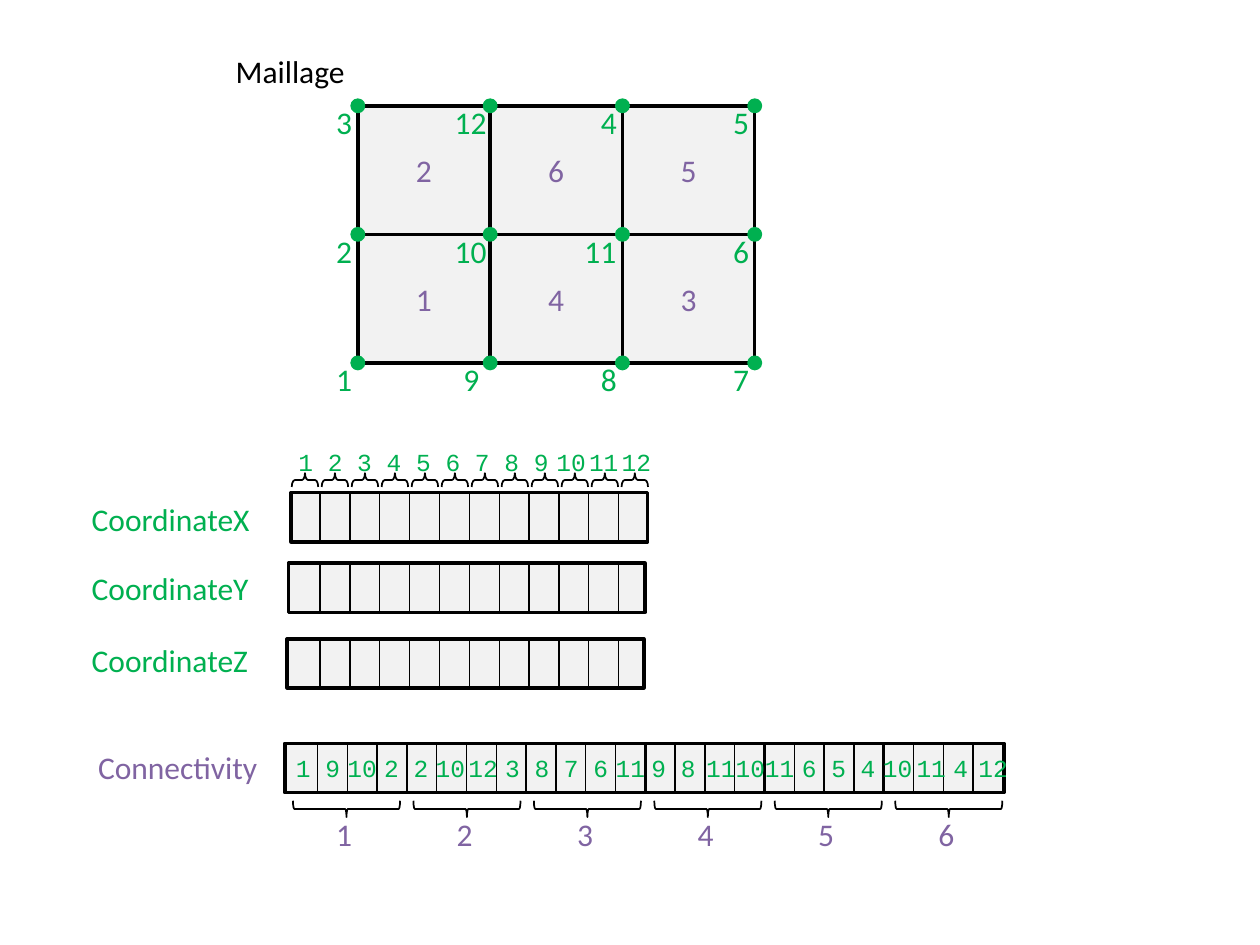
from dataclasses import dataclass

from lxml import etree
from pptx import Presentation
from pptx.dml.color import RGBColor
from pptx.enum.shapes import MSO_CONNECTOR, MSO_SHAPE
from pptx.enum.text import MSO_ANCHOR, MSO_AUTO_SIZE, PP_ALIGN
from pptx.oxml.ns import qn
from pptx.util import Inches, Pt

RECTANGLE, OVAL, BRACE = MSO_SHAPE.RECTANGLE, MSO_SHAPE.OVAL, MSO_SHAPE.LEFT_BRACE
STRAIGHT = MSO_CONNECTOR.STRAIGHT
LEFT, CENTER = PP_ALIGN.LEFT, PP_ALIGN.CENTER
TOP = MSO_ANCHOR.TOP
FIT_SHAPE = MSO_AUTO_SIZE.SHAPE_TO_FIT_TEXT
TITLE_ONLY = 5


@dataclass(frozen=True)
class Theme:
    ink: str = "000000"
    cell: str = "F2F2F2"
    node: str = "00B050"
    element: str = "8064A2"
    sans: str = "Calibri"
    mono: str = "Courier New"
    label: int = 18
    index: int = 14
    heavy: float = 2
    medium: float = 1.5
    thin: float = 1
    hairline: float = 0.75


@dataclass(frozen=True)
class Box:
    left: float
    top: float
    width: float
    height: float

    def inches(self):
        return [Inches(value) for value in (self.left, self.top, self.width, self.height)]


THEME = Theme()
LABEL_HEIGHT = 0.4
DIGIT_WIDTH = 0.33
NUMBER_WIDTH = 0.46


def write_text(page, box, text, color=THEME.ink, size=THEME.label, font=THEME.sans,
               align=LEFT, target=None):
    shape = target or page.shapes.add_textbox(*box.inches())
    shape.left, shape.top, shape.width, shape.height = box.inches()
    frame = shape.text_frame
    frame.word_wrap = False
    frame.auto_size = FIT_SHAPE
    frame.vertical_anchor = TOP
    para = frame.paragraphs[0]
    para.alignment = align
    spans = [(text, size)] if isinstance(text, str) else text
    for words, points in spans:
        span = para.add_run()
        span.text = words
        span.font.size = Pt(points)
        span.font.name = font
        span.font.color.rgb = RGBColor.from_string(color)


def spaced(first, *rest):
    spans = [(first, THEME.index)]
    for gap, words in rest:
        spans += [(" ", gap), (words, THEME.index)]
    return spans


def draw_shape(page, kind, box, fill=None, line=THEME.ink, weight=THEME.heavy):
    shape = page.shapes.add_shape(kind, *box.inches())
    shape.shadow.inherit = False
    if fill:
        shape.fill.solid()
        shape.fill.fore_color.rgb = RGBColor.from_string(fill)
    else:
        shape.fill.background()
    shape.line.color.rgb = RGBColor.from_string(line)
    shape.line.width = Pt(weight)
    return shape


def draw_separator(page, x, top, height, weight):
    line = page.shapes.add_connector(
        STRAIGHT, Inches(x), Inches(top), Inches(x), Inches(top + height))
    line.line.color.rgb = RGBColor.from_string(THEME.ink)
    line.line.width = Pt(weight)
    etree.SubElement(line._element.spPr, qn("a:effectLst"))


def draw_brace(page, center_x, center_y, span, depth, rotation, curve=None):
    box = Box(center_x - depth / 2, center_y - span / 2, depth, span)
    brace = draw_shape(page, BRACE, box, weight=THEME.thin)
    brace.rotation = rotation
    if curve:
        brace.adjustments[0] = curve


def draw_mesh(page, box, elements, nodes, nudges):
    cell_width = box.width / len(elements[0])
    cell_height = box.height / len(elements)
    for row, numbers in enumerate(elements):
        for column, number in enumerate(numbers):
            left = box.left + column * cell_width
            top = box.top + row * cell_height
            draw_shape(page, RECTANGLE, Box(left, top, cell_width, cell_height), THEME.cell)
            label = Box(left + 0.36, top + 0.31, DIGIT_WIDTH, LABEL_HEIGHT)
            write_text(page, label, number, color=THEME.element, align=CENTER)
    dot = 0.09
    for row, numbers in enumerate(nodes):
        for column, number in enumerate(numbers):
            x = box.left + column * cell_width
            y = box.top + row * cell_height
            draw_shape(page, OVAL, Box(x - dot / 2, y - dot / 2, dot, dot),
                       THEME.node, THEME.node)
            width = DIGIT_WIDTH if len(number) == 1 else NUMBER_WIDTH
            right = x + 0.06 + nudges.get(number, 0)
            label = Box(right - width, y - 0.07, width, LABEL_HEIGHT)
            write_text(page, label, number, color=THEME.node)


def draw_array(page, box, count, first, pitch, group=None):
    draw_shape(page, RECTANGLE, box, THEME.cell)
    for index in range(1, count):
        weight = THEME.medium if group and index % group == 0 else THEME.hairline
        x = box.left + first + (index - 1) * pitch
        draw_separator(page, x, box.top, box.height, weight)


def draw_coordinates(page, box):
    rows = (("X", 0.03, 0, 0.01), ("Y", 0.01, 0.56, 0.56), ("Z", 0, 1.16, 1.13))
    for axis, shift, top, label_top in rows:
        array = Box(box.left + shift, box.top + top, box.width, 0.39)
        draw_array(page, array, 12, 0.26 - shift, 0.237)
        label = Box(box.left - 1.65, box.top + label_top, 1.47, LABEL_HEIGHT)
        write_text(page, label, "Coordinate" + axis, color=THEME.node)
    indices = spaced("1 2 3 4 5 6 7 8 9", (7, "10"), (3, "11"), (3, "12"))
    write_text(page, Box(box.left - 0.01, box.top - 0.41, 3.01, 0.34), indices,
               color=THEME.node, font=THEME.mono)
    for index in range(12):
        draw_brace(page, box.left + 0.14 + index * 0.238, box.top - 0.1,
                   0.21, 0.11, 90, 0.224)


def draw_connectivity(page, box):
    draw_array(page, box, 24, 0.26, 0.2365, group=4)
    write_text(page, Box(box.left - 1.58, box.top - 0.01, 1.48, LABEL_HEIGHT),
               "Connectivity", color=THEME.element)
    indices = spaced("1 9", (7, "10"), (7, "2 2"), (7, "10"), (3, "12"), (7, "3 8 7 6"),
                     (7, "11"), (6, "9 8"), (10, "111011"), (7, "6 5 4"), (7, "10"),
                     (4, "11"), (7, "4"), (10, "12"))
    write_text(page, Box(box.left - 0.01, box.top + 0.03, 5.92, 0.34), indices,
               color=THEME.node, font=THEME.mono)
    for index in range(6):
        center = box.left + 0.49 + index * 0.956
        draw_brace(page, center, box.top + 0.52, 0.85, 0.13, 270)
        label = Box(center - 0.18, box.top + 0.52, DIGIT_WIDTH, LABEL_HEIGHT)
        write_text(page, label, str(index + 1), color=THEME.element)


def build_deck():
    deck = Presentation()
    deck.slide_width, deck.slide_height = Inches(10), Inches(7.5)
    page = deck.slides.add_slide(deck.slide_layouts[TITLE_ONLY])
    write_text(page, Box(1.77, 0.36, 1.08, LABEL_HEIGHT), "Maillage",
               target=page.shapes.title)
    draw_mesh(page, Box(2.84, 0.84, 3.15, 2.04),
              elements=(("2", "6", "5"), ("1", "4", "3")),
              nodes=(("3", "12", "4", "5"), ("2", "10", "11", "6"), ("1", "9", "8", "7")),
              nudges={"9": -0.04, "10": 0.02, "12": 0.02})
    draw_coordinates(page, Box(2.28, 3.91, 2.83, 1.55))
    draw_connectivity(page, Box(2.26, 5.9, 5.71, 0.39))
    deck.save("out.pptx")


build_deck()
